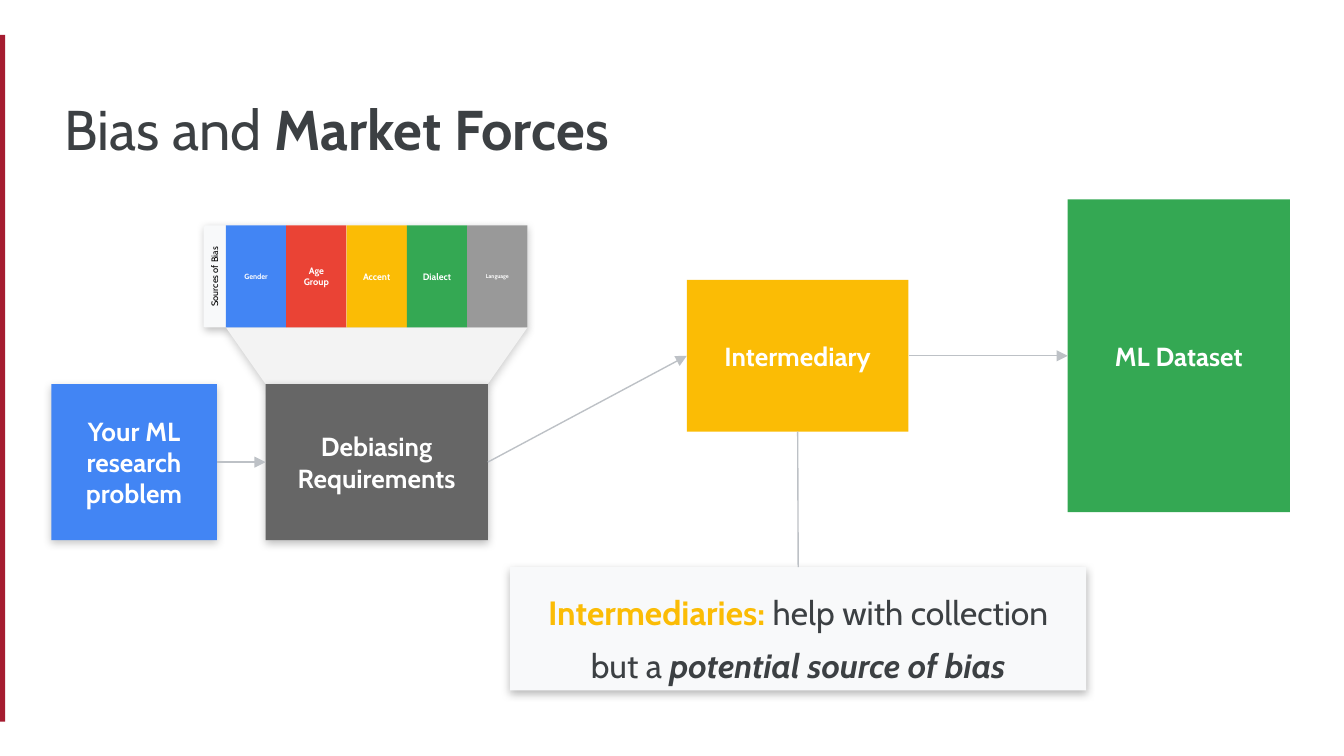
"""Build the slide on bias and market forces in a machine learning dataset."""
from dataclasses import dataclass

from lxml import etree
from pptx import Presentation
from pptx.dml.color import RGBColor
from pptx.enum.shapes import MSO_CONNECTOR, MSO_SHAPE
from pptx.enum.text import MSO_ANCHOR, MSO_AUTO_SIZE, PP_ALIGN
from pptx.oxml.ns import qn
from pptx.shapes.autoshape import Shape
from pptx.slide import Slide
from pptx.text.text import TextFrame
from pptx.util import Cm, Pt

RECTANGLE = MSO_SHAPE.RECTANGLE
ROUNDED = MSO_SHAPE.ROUNDED_RECTANGLE
STRAIGHT = MSO_CONNECTOR.STRAIGHT
TOP, MIDDLE = MSO_ANCHOR.TOP, MSO_ANCHOR.MIDDLE
LEFT, CENTER = PP_ALIGN.LEFT, PP_ALIGN.CENTER
NO_AUTOSIZE = MSO_AUTO_SIZE.NONE
SIDE_TOP, SIDE_LEFT, SIDE_BOTTOM, SIDE_RIGHT = range(4)

FONT = "Cabin"
WHITE, BLACK, INK, PALE = "FFFFFF", "000000", "3C4043", "F8F9FA"
BLUE, RED, YELLOW, GREEN = "4285F4", "EA4335", "FBBC05", "34A853"
CRIMSON, DARK_GRAY, GRAY = "A51C30", "666666", "999999"
FUNNEL_GRAY, LINE_GRAY = "F3F3F3", "BDC1C6"

PANEL_TOP, PANEL_HEIGHT = 4.26, 1.93
CELLS_LEFT, CELL_WIDTH = 4.27, 1.14
STEP_TOP = 7.26


@dataclass(frozen=True)
class Span:
    text: str
    color: str = WHITE
    bold: bool = True
    italic: bool = False


@dataclass(frozen=True)
class Step:
    name: str
    left: float
    top: float
    width: float
    height: float
    fill: str
    shadow: int = 0


@dataclass(frozen=True)
class Source:
    name: str
    fill: str
    size: float


@dataclass(frozen=True)
class Link:
    start: str
    start_side: int
    end: str
    end_side: int
    arrow: bool = True


STEPS = [
    Step("Intermediary", 12.98, 5.29, 4.19, 2.87, YELLOW),
    Step("ML Dataset", 20.18, 3.77, 4.2, 5.91, GREEN),
    Step("Your ML research problem", 0.97, STEP_TOP, 3.13, 2.95, BLUE, 22),
    Step("Debiasing\nRequirements", 5.02, STEP_TOP, 4.2, 2.95, DARK_GRAY, 26),
]
SOURCES = [
    Source("Gender", BLUE, 4),
    Source("Age\nGroup", RED, 5),
    Source("Accent", YELLOW, 5),
    Source("Dialect", GREEN, 5),
    Source("Language", GRAY, 3),
]
LINKS = [
    Link("Your ML research problem", SIDE_RIGHT, "Debiasing\nRequirements", SIDE_LEFT),
    Link("Debiasing\nRequirements", SIDE_RIGHT, "Intermediary", SIDE_LEFT),
    Link("Intermediary", SIDE_BOTTOM, "Note", SIDE_TOP, arrow=False),
    Link("Intermediary", SIDE_RIGHT, "ML Dataset", SIDE_LEFT),
]


def rgb(value: str) -> RGBColor:
    """Turn a hex string into a colour."""
    return RGBColor.from_string(value)


def paint(shape: Shape, fill: str, shadow: int = 0) -> None:
    """Fill a shape without outline and give it a soft shadow of some percent."""
    shape.fill.solid()
    shape.fill.fore_color.rgb = rgb(fill)
    shape.line.fill.background()
    shape.shadow.inherit = False
    if shadow:
        effects = shape._element.spPr.find(qn("a:effectLst"))
        outer = etree.SubElement(effects, qn("a:outerShdw"), blurRad=str(Pt(4.5)),
                                 dist=str(Pt(1.5)), dir="5400000", algn="bl", rotWithShape="0")
        color = etree.SubElement(outer, qn("a:srgbClr"), val=BLACK)
        etree.SubElement(color, qn("a:alpha"), val=str(shadow * 1000))


def add_box(page: Slide, left: float, top: float, width: float, height: float,
            fill: str, shadow: int = 0, kind: MSO_SHAPE = RECTANGLE) -> Shape:
    """Add a filled rectangle placed in centimetres."""
    box = page.shapes.add_shape(kind, Cm(left), Cm(top), Cm(width), Cm(height))
    if kind == ROUNDED:
        box.adjustments[0] = 0
    paint(box, fill, shadow)
    return box


def write(frame: TextFrame, *lines: list[Span], size: float, align: PP_ALIGN = CENTER,
          anchor: MSO_ANCHOR = MIDDLE, spacing: float = 1.0) -> None:
    """Write one paragraph for each list of spans."""
    frame.word_wrap = True
    frame.auto_size = NO_AUTOSIZE
    frame.vertical_anchor = anchor
    frame.margin_left = frame.margin_right = Cm(0.25)
    frame.margin_top = frame.margin_bottom = Cm(0.25)
    for index, spans in enumerate(lines):
        para = frame.add_paragraph() if index else frame.paragraphs[0]
        para.alignment = align
        para.line_spacing = spacing
        para.space_before = Pt(0)
        for span in spans:
            run = para.add_run()
            run.text = span.text
            run.font.name = FONT
            run.font.size = Pt(size)
            run.font.bold = span.bold
            run.font.italic = span.italic
            run.font.color.rgb = rgb(span.color)


def write_label(box: Shape, text: str, size: float) -> None:
    """Write a centred white label, one paragraph a line."""
    write(box.text_frame, *([Span(line)] for line in text.split("\n")), size=size)


def add_title(page: Slide) -> None:
    """Place and write the slide title."""
    title = page.shapes.title
    title.left, title.top, title.width, title.height = Cm(0.97), Cm(1.68), Cm(21.67), Cm(1.5)
    write(title.text_frame, [Span("Bias and ", INK, bold=False), Span("Market Forces", INK)],
          size=30, align=LEFT, anchor=TOP, spacing=0.9)


def add_funnel(page: Slide) -> None:
    """Draw the funnel from the sources down to the requirements."""
    bottom = PANEL_TOP + PANEL_HEIGHT
    right = CELLS_LEFT + CELL_WIDTH * len(SOURCES)
    points = [(5.02, STEP_TOP), (9.22, STEP_TOP), (right, bottom)]
    builder = page.shapes.build_freeform(Cm(CELLS_LEFT), Cm(bottom))
    builder.add_line_segments([(Cm(x), Cm(y)) for x, y in points], close=True)
    paint(builder.convert_to_shape(), FUNNEL_GRAY, shadow=20)


def add_sources(page: Slide) -> None:
    """Draw the row of bias sources with its upright heading."""
    heading = add_box(page, 3.1, 5.03, 1.9, 0.4, PALE)
    heading.rotation = 270
    write(heading.text_frame, [Span("Sources of Bias", BLACK, bold=False)], size=5)
    for index, source in enumerate(SOURCES):
        cell = add_box(page, CELLS_LEFT + index * CELL_WIDTH, PANEL_TOP,
                       CELL_WIDTH, PANEL_HEIGHT, source.fill)
        write_label(cell, source.name, source.size)


def add_link(page: Slide, link: Link, boxes: dict[str, Shape]) -> None:
    """Join two boxes with a thin line, with or without an arrowhead."""
    connector = page.shapes.add_connector(STRAIGHT, 0, 0, 0, 0)
    connector.begin_connect(boxes[link.start], link.start_side)
    connector.end_connect(boxes[link.end], link.end_side)
    connector.line.color.rgb = rgb(LINE_GRAY)
    connector.line.width = Pt(0.75)
    properties = connector._element.spPr
    if link.arrow:
        etree.SubElement(properties.find(qn("a:ln")), qn("a:tailEnd"), type="triangle")
    etree.SubElement(properties, qn("a:effectLst"))


def main() -> None:
    """Build and save the deck."""
    deck = Presentation()
    deck.slide_width, deck.slide_height = Cm(25.4), Cm(14.29)
    page = deck.slides.add_slide(deck.slide_layouts[5])
    add_title(page)
    add_box(page, 0, 0.66, 0.1, 12.98, CRIMSON)
    add_box(page, 3.87, PANEL_TOP, 6.1, PANEL_HEIGHT, PALE, shadow=25)
    add_funnel(page)
    boxes = {}
    for step in STEPS:
        box = add_box(page, step.left, step.top, step.width, step.height,
                      step.fill, step.shadow, ROUNDED)
        write_label(box, step.name, 14)
        boxes[step.name] = box
    boxes["Note"] = add_box(page, 9.64, 10.72, 10.89, 2.33, PALE, shadow=27)
    write(boxes["Note"].text_frame,
          [Span("Intermediaries: ", YELLOW),
           Span("help with collection but a ", INK, bold=False),
           Span("potential source of bias", INK, italic=True)],
          size=18, anchor=TOP, spacing=1.3)
    add_sources(page)
    for link in LINKS:
        add_link(page, link, boxes)
    deck.save("out.pptx")


if __name__ == "__main__":
    main()
